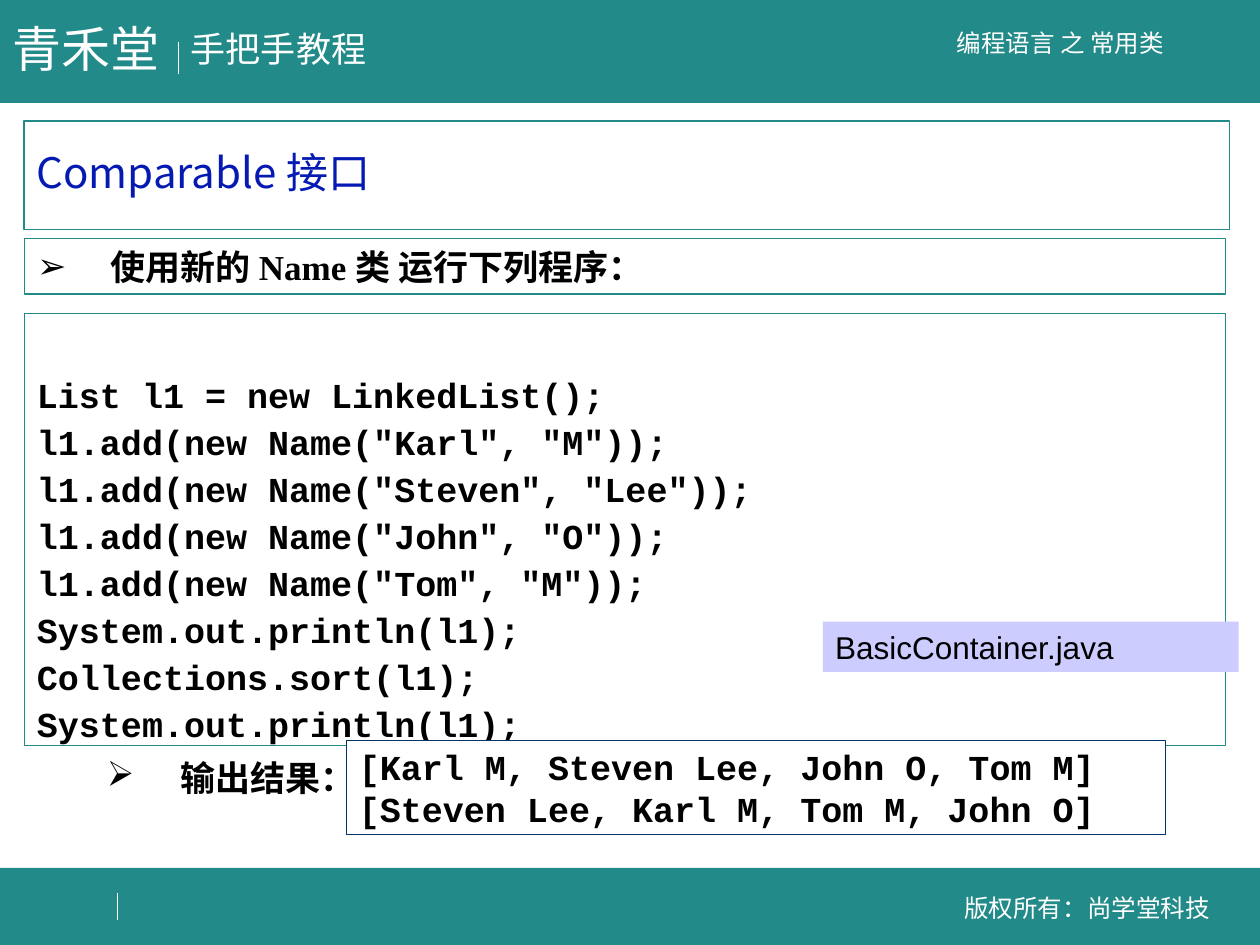
import pptx
import pptx.dml.color
import pptx.enum.shapes
import pptx.enum.text
import pptx.oxml.ns
import pptx.util
from lxml import etree

Pt = pptx.util.Pt
RGB = pptx.dml.color.RGBColor
ANCHOR = pptx.enum.text.MSO_ANCHOR
ALIGN = pptx.enum.text.PP_ALIGN
qn = pptx.oxml.ns.qn

COLORS = {
    "teal": "228A88", "white": "FFFFFF", "black": "000000",
    "title": "051AB3", "navy": "003366", "lilac": "CCCCFF",
}
CJK_FONT = "Noto Sans CJK SC"
CAPTION = {"size": Pt(14), "name": "Arial"}
HEADING = {"size": Pt(20), "name": "Times New Roman", "bold": True}
CODE = {"size": Pt(20), "name": "Courier New", "bold": True}

CODE_LINES = [
    "List l1 = new LinkedList();",
    'l1.add(new Name("Karl", "M"));',
    'l1.add(new Name("Steven", "Lee"));',
    'l1.add(new Name("John", "O"));',
    'l1.add(new Name("Tom", "M"));',
    "System.out.println(l1);",
    "Collections.sort(l1);",
    "System.out.println(l1);",
]
OUTPUT_LINES = [
    "[Karl M, Steven Lee, John O, Tom M]",
    "[Steven Lee, Karl M, Tom M, John O]",
]


def set_attributes(target, values):
    for name, value in values.items():
        setattr(target, name, value)


def place(shape, left, top, width, height):
    set_attributes(shape, {"left": Pt(left), "top": Pt(top),
                           "width": Pt(width), "height": Pt(height)})


def paint(shape, fill=None, line=None, weight=0.75):
    if fill:
        shape.fill.solid()
        shape.fill.fore_color.rgb = RGB.from_string(COLORS[fill])
    else:
        shape.fill.background()
    if line:
        shape.line.color.rgb = RGB.from_string(COLORS[line])
        shape.line.width = Pt(weight)
    else:
        shape.line.fill.background()


def add_arrow_bullet(paragraph, indent=42):
    properties = paragraph._p.get_or_add_pPr()
    properties.set("marL", str(Pt(indent)))
    properties.set("indent", str(-Pt(indent)))
    etree.SubElement(properties, qn("a:buChar")).set("char", "➢")


def write(shape, lines, font, color="black", bullet=False, frame=None, paragraph=None):
    """Fill a shape with lines; frame and paragraph hold further format values."""
    text_frame = shape.text_frame
    set_attributes(text_frame, {
        "auto_size": pptx.enum.text.MSO_AUTO_SIZE.NONE,
        "word_wrap": True, "vertical_anchor": ANCHOR.TOP,
        "margin_left": Pt(7.2), "margin_right": Pt(7.2),
        "margin_top": Pt(3.6), "margin_bottom": Pt(3.6), **(frame or {}),
    })
    text_frame.text = "\n".join(lines)
    for line in text_frame.paragraphs:
        set_attributes(line, {"alignment": ALIGN.LEFT, "space_before": Pt(0),
                              **(paragraph or {})})
        if bullet:
            add_arrow_bullet(line)
        run = line.runs[0]
        set_attributes(run.font, font)
        run.font.color.rgb = RGB.from_string(COLORS[color])
        east_asian = etree.SubElement(run.font._element, qn("a:ea"))
        east_asian.set("typeface", CJK_FONT)


def add_panel(slide, box, fill=None, line=None, weight=0.75):
    panel = slide.shapes.add_shape(
        pptx.enum.shapes.MSO_SHAPE.RECTANGLE, *map(Pt, box))
    panel.shadow.inherit = False
    paint(panel, fill, line, weight)
    return panel


def add_label(slide, box, text, font, **formats):
    label = slide.shapes.add_textbox(*map(Pt, box))
    write(label, [text], font, **formats)


def add_divider(slide, x, top, bottom):
    divider = slide.shapes.add_connector(
        pptx.enum.shapes.MSO_CONNECTOR.STRAIGHT, Pt(x), Pt(top), Pt(x), Pt(bottom))
    divider.line.color.rgb = RGB.from_string(COLORS["white"])
    divider.line.width = Pt(0.75)
    etree.SubElement(divider._element.spPr, qn("a:effectLst"))


def add_banners(slide):
    for top, height in ((496, 44), (0, 58.5)):
        add_panel(slide, (0, top, 720, height), "teal", "teal", 0.25)
    add_divider(slide, 102.2, 24, 42.5)
    add_divider(slide, 67, 510.5, 525.6)
    unwrapped = {"word_wrap": False}
    add_label(slide, (0, 7.2, 98, 41), "青禾堂", {"size": Pt(28), "name": "Arial"},
              color="white", frame=unwrapped)
    add_label(slide, (102, 12.2, 114.5, 31.7), "手把手教程",
              {"size": Pt(20), "name": "Arial"}, color="white", frame=unwrapped)
    centred = {"color": "white", "frame": {"vertical_anchor": ANCHOR.MIDDLE},
               "paragraph": {"alignment": ALIGN.CENTER}}
    add_label(slide, (492, 12.2, 228, 24.5), "编程语言 之 常用类", CAPTION, **centred)
    add_label(slide, (537.8, 506.2, 167, 24.5), "版权所有：尚学堂科技", CAPTION, **centred)


def fill_placeholders(slide):
    title, task = slide.placeholders
    place(title, 13.7, 69.1, 689, 62)
    paint(title, line="teal")
    write(title, ["Comparable 接口"], {"size": Pt(24), "name": CJK_FONT}, "title",
          frame={"vertical_anchor": ANCHOR.MIDDLE}, paragraph={"line_spacing": 0.9})
    place(task, 14, 136.4, 686.4, 31.7)
    paint(task, line="teal")
    write(task, ["使用新的 Name 类 运行下列程序："], HEADING, bullet=True)


def add_program(slide):
    program = add_panel(slide, (14, 179.3, 686.4, 246.9), "white", "teal")
    write(program, CODE_LINES, CODE,
          frame={"margin_top": Pt(31.2), "margin_bottom": Pt(0)},
          paragraph={"line_spacing": Pt(26.9)})
    file_name = add_panel(slide, (470.2, 355.2, 237.6, 28.8), "lilac")
    write(file_name, ["BasicContainer.java"], {"size": Pt(18), "name": "Arial"})


def add_result(slide):
    caption = add_panel(slide, (54, 429, 162, 36), "white")
    write(caption, ["输出结果："], HEADING, bullet=True)
    result = add_panel(slide, (198, 423, 468, 54), "white", "navy")
    write(result, OUTPUT_LINES, CODE, frame={"vertical_anchor": ANCHOR.MIDDLE})


def main():
    presentation = pptx.Presentation()
    presentation.slide_width, presentation.slide_height = Pt(720), Pt(540)
    slide = presentation.slides.add_slide(presentation.slide_layouts[1])
    add_banners(slide)
    fill_placeholders(slide)
    add_program(slide)
    add_result(slide)
    presentation.save("out.pptx")


if __name__ == "__main__":
    main()
